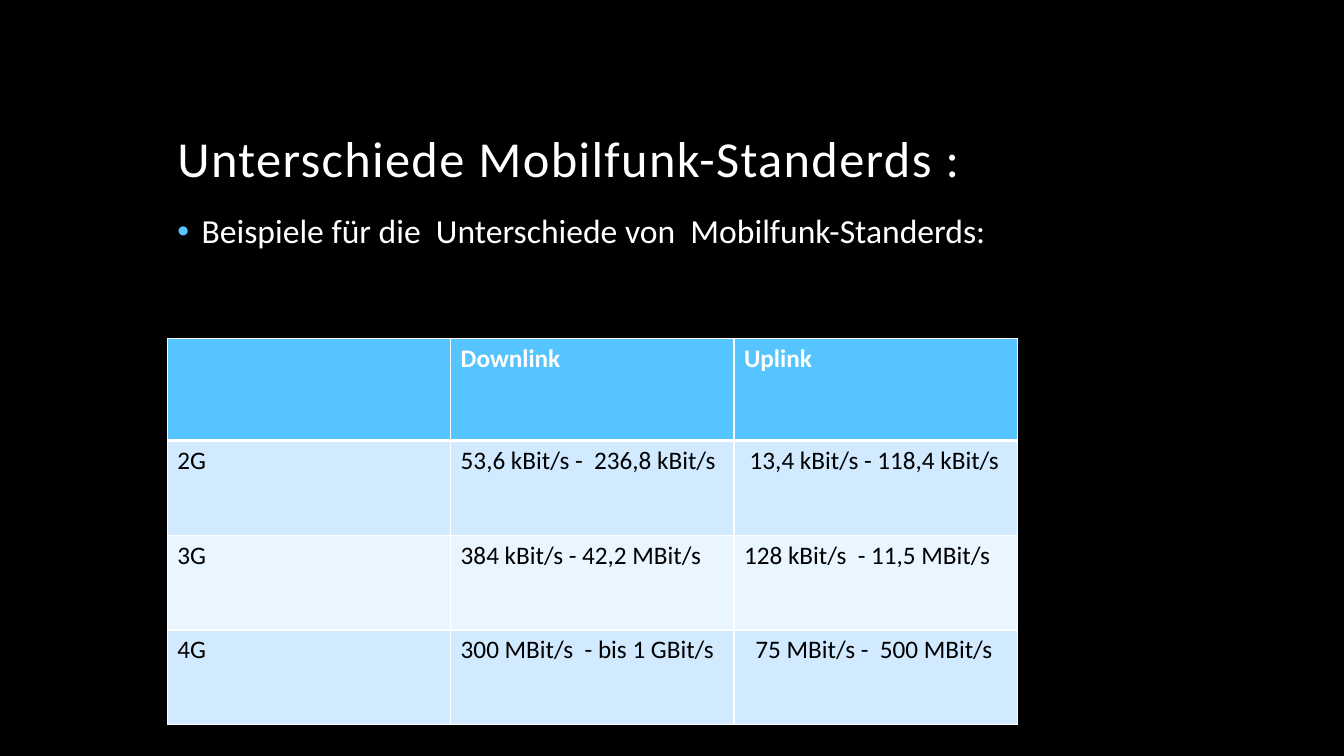
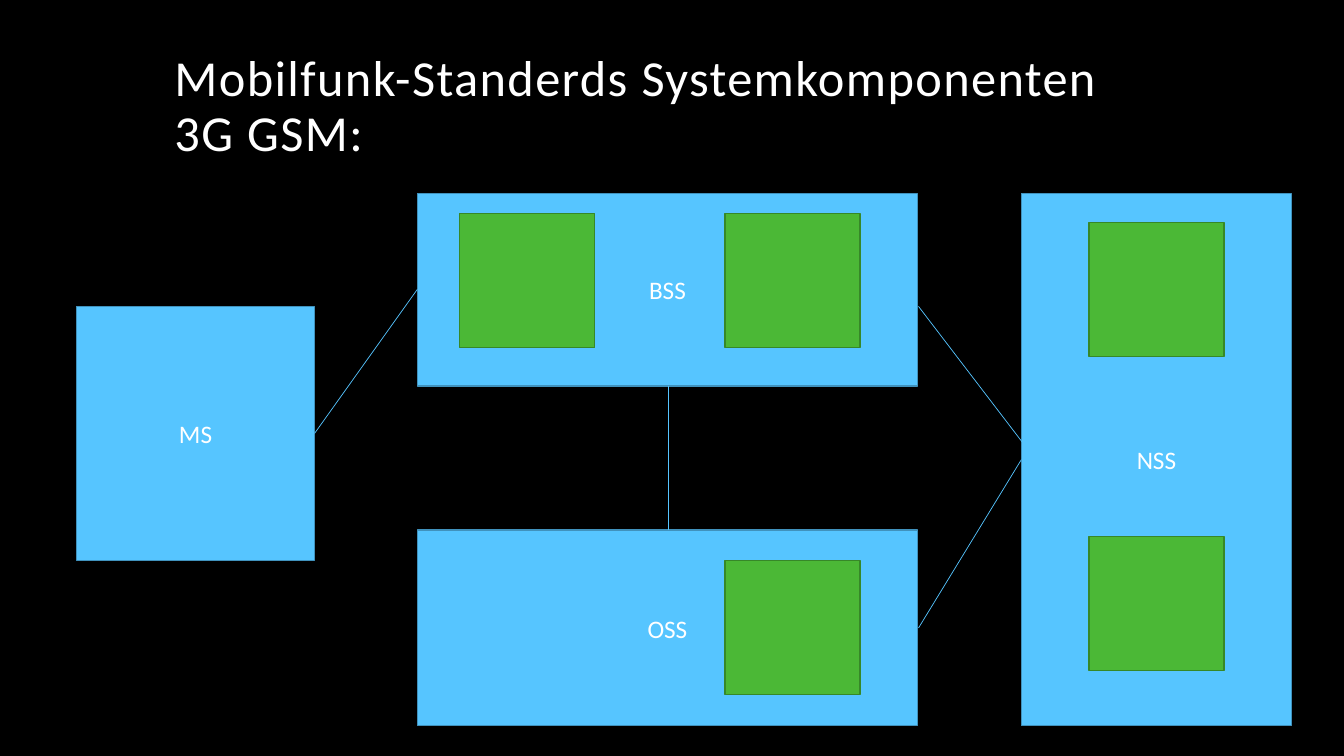
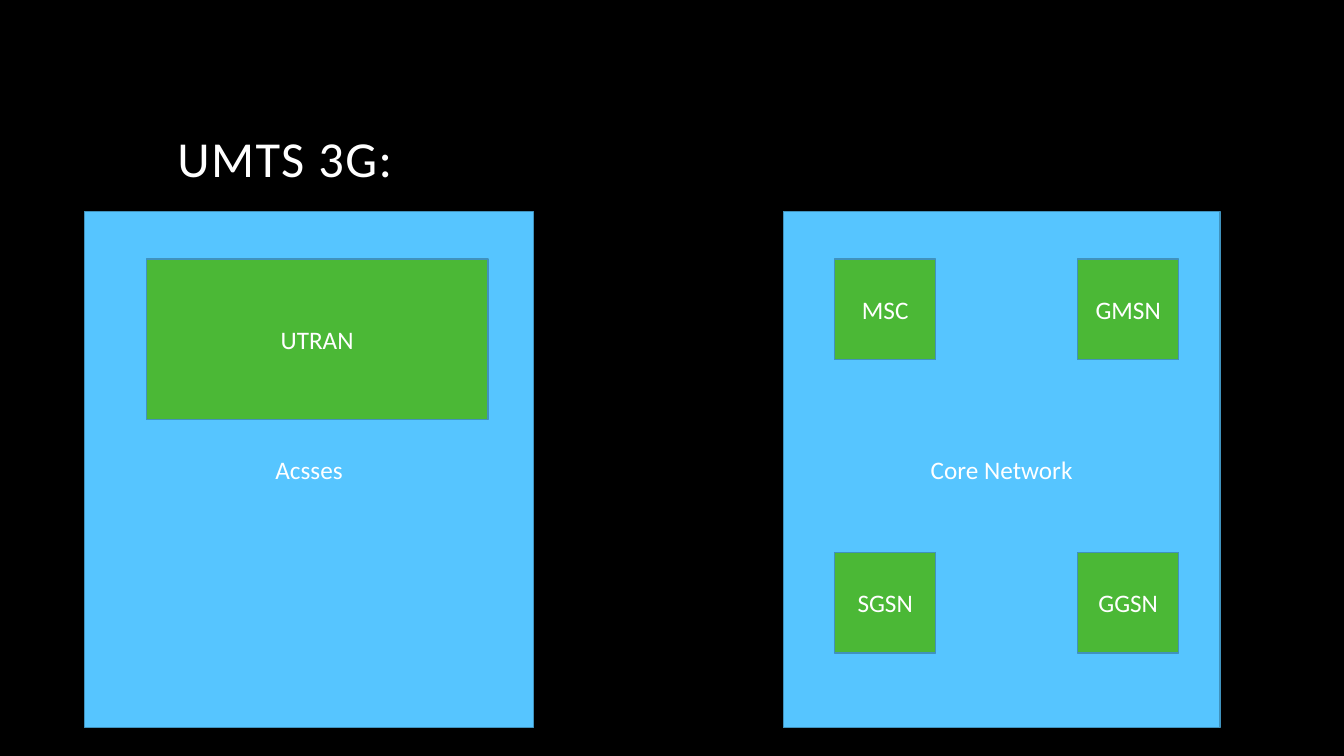
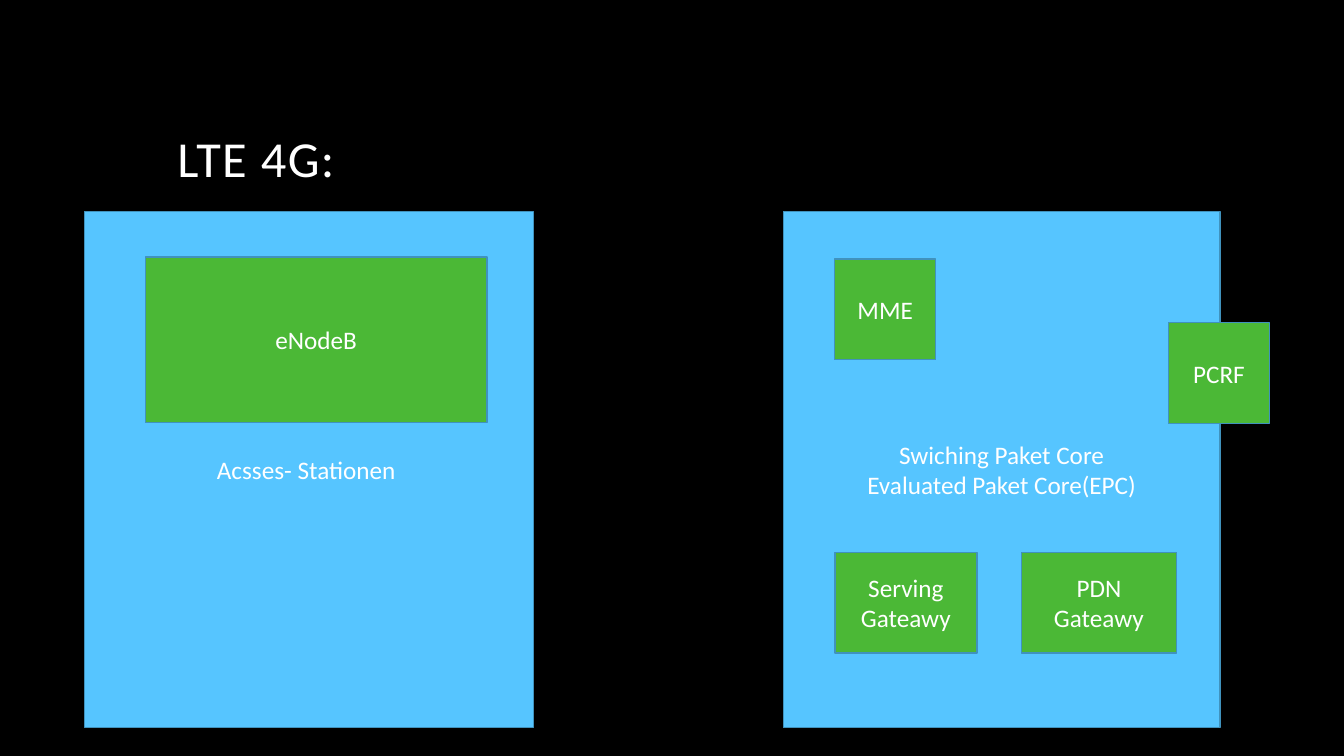
from lxml import etree
from pptx import Presentation
from pptx.dml.color import RGBColor
from pptx.enum.shapes import MSO_CONNECTOR, MSO_SHAPE
from pptx.enum.text import MSO_ANCHOR, MSO_AUTO_SIZE, PP_ALIGN
from pptx.oxml import parse_xml
from pptx.oxml.ns import nsdecls, qn
from pptx.util import Inches, Pt

RECT = MSO_SHAPE.RECTANGLE
STRAIGHT = MSO_CONNECTOR.STRAIGHT
LEFT, CENTER = PP_ALIGN.LEFT, PP_ALIGN.CENTER
MIDDLE, BOTTOM = MSO_ANCHOR.MIDDLE, MSO_ANCHOR.BOTTOM
NO_FIT = MSO_AUTO_SIZE.NONE

FONT = "Calibri"
BLACK, WHITE = "000000", "FFFFFF"
BLUE, BLUE_EDGE = "56C5FF", "4092BD"
GREEN, GREEN_EDGE = "4BB836", "378828"
BAND_DARK, BAND_LIGHT = "D1EAFF", "E9F5FF"


def style_text(tf, size, color=WHITE, align=LEFT, bold=False):
    for p in tf.paragraphs:
        p.alignment = align
        for r in p.runs:
            r.font.name = FONT
            r.font.size = Pt(size)
            r.font.bold = bold
            r.font.color.rgb = RGBColor.from_string(color)


def add_box(s, box, text="", fill=BLUE, edge=BLUE_EDGE):
    sp = s.shapes.add_shape(RECT, *[Inches(v) for v in box])
    sp.shadow.inherit = False
    sp.fill.solid()
    sp.fill.fore_color.rgb = RGBColor.from_string(fill)
    sp.line.color.rgb = RGBColor.from_string(edge)
    sp.line.width = Pt(1)
    if text:
        sp.text_frame.text = text
        sp.text_frame.vertical_anchor = MIDDLE
        style_text(sp.text_frame, 18, align=CENTER)


prs = Presentation()
prs.slide_width, prs.slide_height = Inches(13.33), Inches(7.5)
background = prs.slide_master.background.fill
background.solid()
background.fore_color.rgb = RGBColor.from_string(BLACK)

# Slides with their titles: layout 1 has a body, layout 5 only a title
slides = []
for layout, title, left, top in [
    (1, "Unterschiede Mobilfunk-Standerds :", 1.66, 0.42),
    (5, "Mobilfunk-Standerds Systemkomponenten 3G GSM:", 1.63, 0.16),
    (5, "UMTS 3G:", 1.66, 0.42),
    (5, "LTE 4G:", 1.66, 0.42),
]:
    s = prs.slides.add_slide(prs.slide_layouts[layout])
    sp = s.shapes.title
    sp.left, sp.top = Inches(left), Inches(top)
    sp.width, sp.height = Inches(10), Inches(1.5)
    tf = sp.text_frame
    tf.text = title
    tf.auto_size = NO_FIT
    tf.vertical_anchor = BOTTOM
    p = tf.paragraphs[0]
    p.line_spacing = 0.9
    style_text(tf, 36)
    p.runs[0].font._element.set("spc", "100")
    slides.append(s)
standards, gsm, umts, lte = slides

# Slide 1: bullet and table of data rates
sp = standards.placeholders[1]
sp.left, sp.top = Inches(1.66), Inches(2.08)
sp.width, sp.height = Inches(11.3), Inches(0.8)
tf = sp.text_frame
tf.text = "Beispiele für die  Unterschiede von  Mobilfunk-Standerds:"
tf.auto_size = NO_FIT
style_text(tf, 24)
p = tf.paragraphs[0]
p.line_spacing = 0.9
p.space_before = Pt(18)
pPr = p._p.get_or_add_pPr()
pPr.set("marL", str(Inches(0.24)))
pPr.set("indent", str(-Inches(0.24)))
bullet_color = etree.SubElement(pPr, qn("a:buClr"))
etree.SubElement(bullet_color, qn("a:srgbClr"), val=BLUE)
etree.SubElement(pPr, qn("a:buFont"), typeface="Arial")
etree.SubElement(pPr, qn("a:buChar"), char="•")

rates = [
    ["", "Downlink", "Uplink"],
    ["2G", "53,6 kBit/s -  236,8 kBit/s", " 13,4 kBit/s - 118,4 kBit/s"],
    ["3G", "384 kBit/s - 42,2 MBit/s", "128 kBit/s  - 11,5 MBit/s"],
    ["4G", "300 MBit/s  - bis 1 GBit/s", "  75 MBit/s -  500 MBit/s"],
]
table = standards.shapes.add_table(
    4, 3, Inches(1.66), Inches(3.36), Inches(8.43), Inches(3.84)).table
for column in table.columns:
    column.width = Inches(2.81)
for i, row in enumerate(rates):
    header = i == 0
    table.rows[i].height = Inches(1.01 if header else 0.94)
    fill = BLUE if header else (BAND_DARK if i % 2 else BAND_LIGHT)
    for j, text in enumerate(row):
        cell = table.cell(i, j)
        cell.text = text
        style_text(cell.text_frame, 18, WHITE if header else BLACK, bold=header)
        cell.fill.solid()
        cell.fill.fore_color.rgb = RGBColor.from_string(fill)
        widths = {"lnL": 1, "lnR": 1, "lnT": 3 if i == 1 else 1, "lnB": 3 if header else 1}
        for k, (side, width) in enumerate(widths.items()):
            cell._tc.get_or_add_tcPr().insert(k, parse_xml(
                f'<a:{side} {nsdecls("a")} w="{Pt(width)}"><a:solidFill>'
                f'<a:srgbClr val="{WHITE}"/></a:solidFill></a:{side}>'))

# Slide 2: GSM subsystems, their links and components
for text, box in [
    ("BSS", (4.14, 1.92, 4.96, 1.91)),
    ("OSS", (4.14, 5.26, 4.96, 1.94)),
    ("NSS", (10.13, 1.92, 2.68, 5.28)),
    ("MS", (0.76, 3.04, 2.36, 2.52)),
]:
    add_box(gsm, box, text)
for ends in [
    (3.12, 4.3, 4.14, 2.87),
    (6.63, 5.26, 6.63, 3.83),
    (9.11, 3.04, 10.44, 4.78),
    (9.11, 6.23, 10.13, 4.56),
]:
    link = gsm.shapes.add_connector(STRAIGHT, *[Inches(v) for v in ends])
    link.line.color.rgb = RGBColor.from_string(BLUE)
    link.line.width = Pt(0.5)
    etree.SubElement(link._element.spPr, qn("a:effectLst"))
for left, top in [(10.8, 2.21), (7.19, 2.12), (10.8, 5.32), (7.19, 5.56), (4.56, 2.12)]:
    add_box(gsm, (left, top, 1.34, 1.33), fill=GREEN, edge=GREEN_EDGE)

# Slides 3 and 4: access side and core side, each with its components
for s, access, core, components in [
    (umts, "Acsses", "Core Network", [
        ("MSC", (8.28, 2.57, 1, 1)),
        ("SGSN", (8.28, 5.48, 1, 1)),
        ("GGSN", (10.69, 5.48, 1, 1)),
        ("UTRAN", (1.45, 2.57, 3.39, 1.59)),
        ("GMSN", (10.69, 2.57, 1, 1)),
    ]),
    (lte, "Acsses- Stationen ", "Swiching Paket Core\nEvaluated Paket Core(EPC)", [
        ("MME", (8.28, 2.57, 1, 1)),
        ("Serving Gateawy", (8.28, 5.48, 1.41, 1)),
        ("PDN\nGateawy", (10.13, 5.48, 1.54, 1)),
        ("eNodeB", (1.44, 2.55, 3.39, 1.64)),
        ("PCRF", (11.59, 3.2, 1, 1)),
    ]),
]:
    add_box(s, (0.84, 2.1, 4.45, 5.12), access)
    add_box(s, (7.77, 2.1, 4.33, 5.12), core)
    for text, box in components:
        add_box(s, box, text, GREEN)

prs.save("out.pptx")
